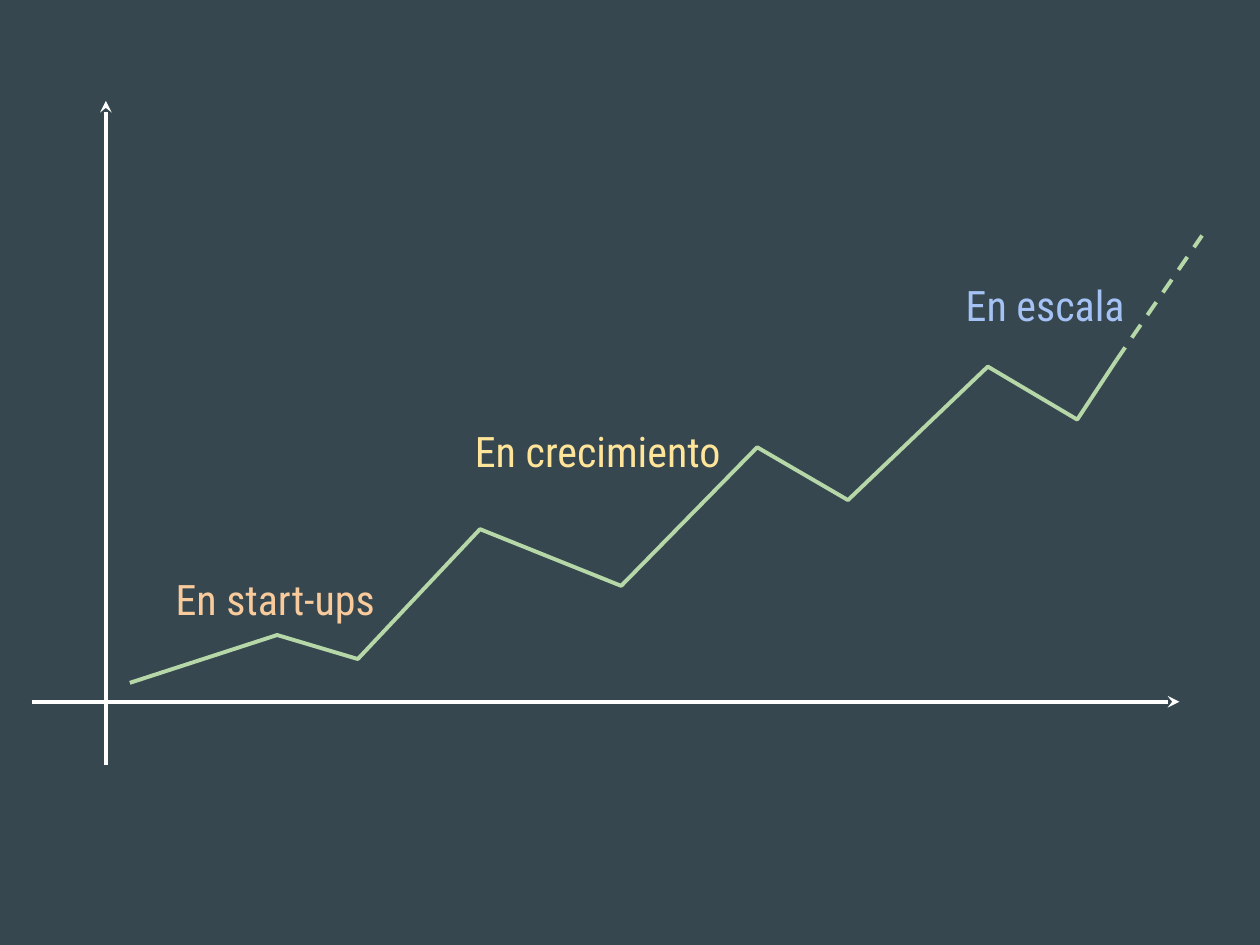
import pptx
import pptx.dml.color
import pptx.enum.dml
import pptx.enum.shapes
import pptx.enum.text
import pptx.oxml.ns
import pptx.util
from lxml import etree

Pt = pptx.util.Pt
SLIDE_SIZE = (720, 540)
BACKGROUND = "37474F"
AXIS_COLOR = "FFFFFF"
GROWTH_COLOR = "B6D7A8"
LINE_WIDTH = 2.25
INSET = 7.2
STAGE_HEIGHT = 79.2
STAGE_FONT = {"name": "Roboto Condensed", "size": Pt(24)}
STAGE_FRAME = {
    "word_wrap": True,
    "vertical_anchor": pptx.enum.text.MSO_ANCHOR.MIDDLE,
    "margin_left": Pt(INSET),
    "margin_right": Pt(INSET),
    "margin_top": Pt(INSET),
    "margin_bottom": Pt(INSET),
}

AXES = [
    ((60.5, 57.6), (60.5, 437), "headEnd"),
    ((18, 401), (673.9, 401), "tailEnd"),
]
GROWTH = [
    (74.2, 390.2), (158.4, 362.9), (204.5, 376.6), (274.3, 302.4), (355, 334.8),
    (432.7, 255.6), (484.6, 285.8), (564.5, 209.5), (615.6, 239.8), (637.9, 205.9),
]
FORECAST_END = (686.9, 134.6)
STAGES = [
    ("En start-ups", 68.4, 302.4, 177.8, "F9CB9C"),
    ("En crecimiento", 252.7, 218.2, 177.8, "FFE599"),
    ("En escala", 542.9, 134.6, 108.7, "A4C2F4"),
]


def color(value):
    return pptx.dml.color.RGBColor.from_string(value)


def apply(target, values):
    for name, value in values.items():
        setattr(target, name, value)


def style_line(line, stroke):
    line.color.rgb = color(stroke)
    line.width = Pt(LINE_WIDTH)


def add_line(slide, start, end, stroke):
    connector = slide.shapes.add_connector(
        pptx.enum.shapes.MSO_CONNECTOR.STRAIGHT, *map(Pt, start + end))
    style_line(connector.line, stroke)
    etree.SubElement(connector._element.spPr, pptx.oxml.ns.qn("a:effectLst"))
    return connector


def add_axis(slide, start, end, arrow_end):
    axis = add_line(slide, start, end, AXIS_COLOR)
    etree.SubElement(axis.line._get_or_add_ln(),
                     pptx.oxml.ns.qn(f"a:{arrow_end}"), type="stealth")


def add_growth(slide):
    points = [(Pt(x), Pt(y)) for x, y in GROWTH]
    builder = slide.shapes.build_freeform(*points[0])
    builder.add_line_segments(points[1:], close=False)
    growth = builder.convert_to_shape()
    growth.shadow.inherit = False
    growth.fill.background()
    style_line(growth.line, GROWTH_COLOR)


def add_stage(slide, label, left, top, width, text_color):
    stage = slide.shapes.add_textbox(*map(Pt, (left, top, width, STAGE_HEIGHT)))
    apply(stage.text_frame, STAGE_FRAME)
    paragraph = stage.text_frame.paragraphs[0]
    paragraph.alignment = pptx.enum.text.PP_ALIGN.CENTER
    run = paragraph.add_run()
    run.text = label
    apply(run.font, STAGE_FONT)
    run.font.color.rgb = color(text_color)


def main():
    deck = pptx.Presentation()
    deck.slide_width, deck.slide_height = map(Pt, SLIDE_SIZE)
    slide = deck.slides.add_slide(deck.slide_layouts[6])
    slide.background.fill.solid()
    slide.background.fill.fore_color.rgb = color(BACKGROUND)
    for axis in AXES:
        add_axis(slide, *axis)
    add_growth(slide)
    for stage in STAGES:
        add_stage(slide, *stage)
    forecast = add_line(slide, GROWTH[-1], FORECAST_END, GROWTH_COLOR)
    forecast.line.dash_style = pptx.enum.dml.MSO_LINE.DASH
    deck.save("out.pptx")


if __name__ == "__main__":
    main()
